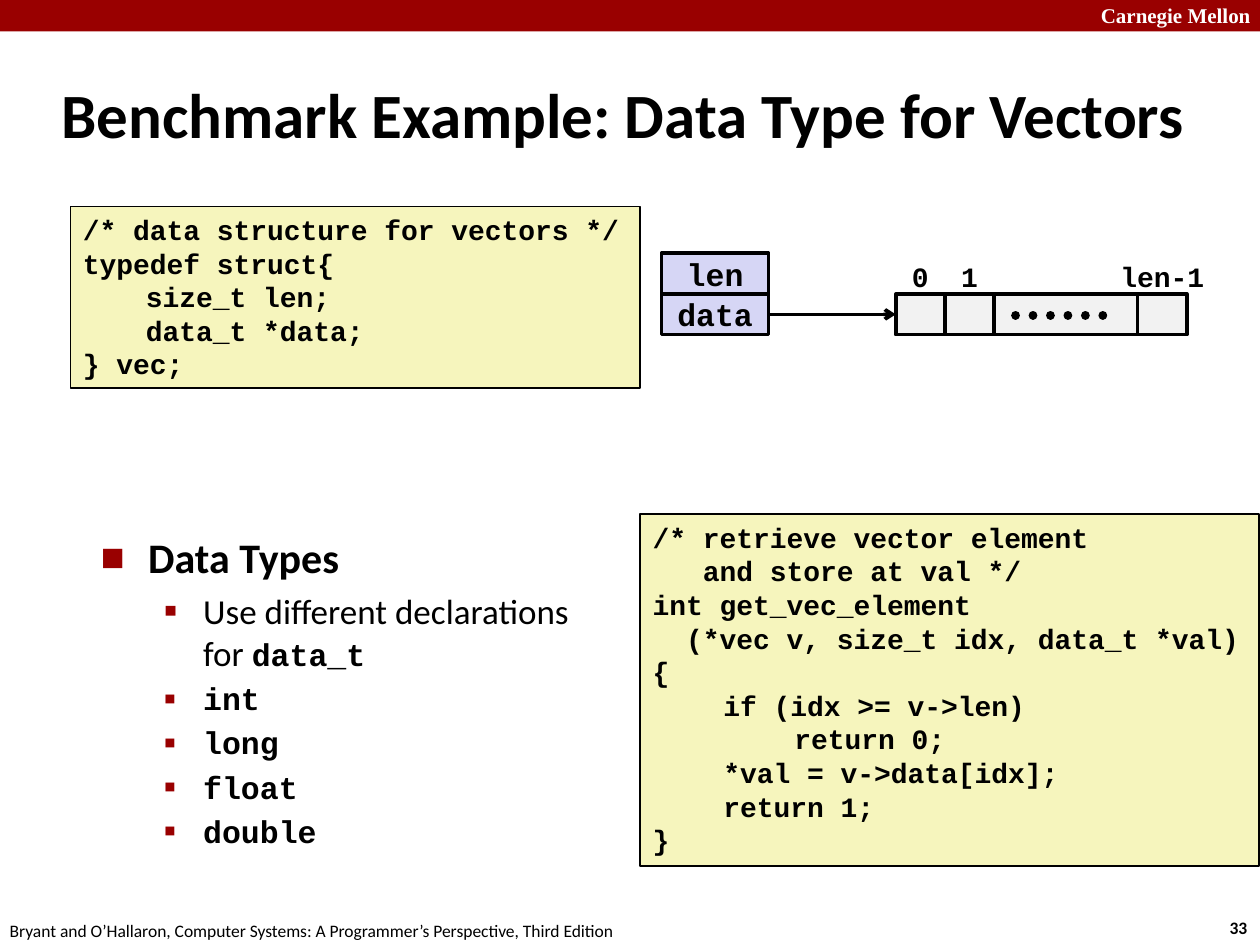
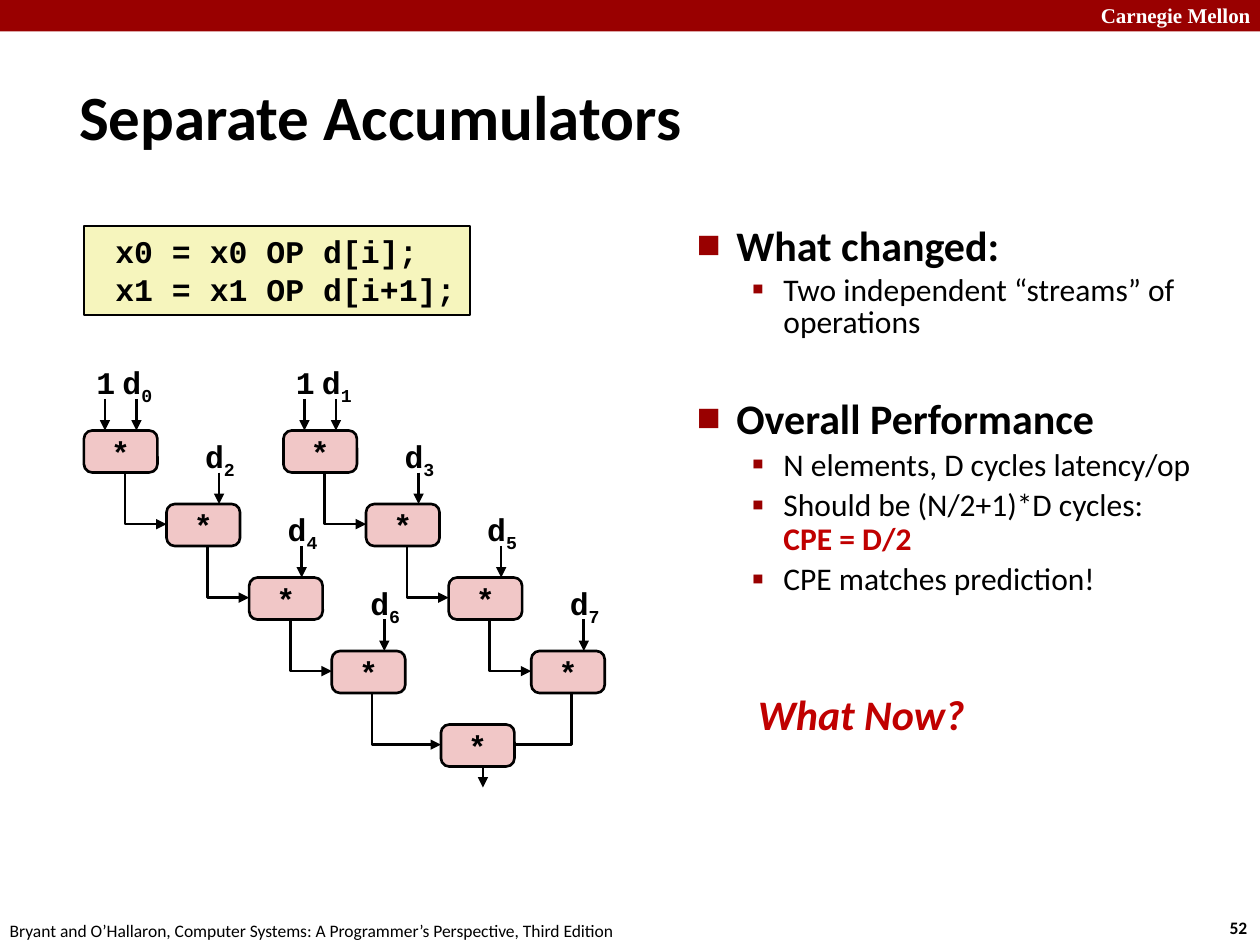
"""Build two lecture slides on vector data types and separate accumulators."""
from copy import deepcopy

from lxml.etree import SubElement
from pptx import Presentation
from pptx.dml.color import RGBColor
from pptx.enum.dml import MSO_LINE
from pptx.enum.shapes import MSO_CONNECTOR, MSO_SHAPE
from pptx.enum.text import MSO_ANCHOR as Anchor, MSO_AUTO_SIZE, PP_ALIGN as Align
from pptx.oxml.ns import qn
from pptx.util import Pt

COLORS = {
    "band": "990000", "ink": "000000", "paper": "FFFFFF", "code": "F6F5BD",
    "field": "D6D6F5", "cell": "F2F2F2", "operator": "F1C7C7", "accent": "C00000",
}
SANS, MONO, SERIF = "Calibri", "Courier New", "Times New Roman"
FOOTER = ("Bryant and O’Hallaron, Computer Systems: "
          "A Programmer’s Perspective, Third Edition")
BULLETS = [("■", "60000"), ("▪", "110000")]

VECTOR_STRUCT = """/* data structure for vectors */
typedef struct{
\tsize_t len;
\tdata_t *data;
} vec;"""
GET_ELEMENT = """/* retrieve vector element
   and store at val */
int get_vec_element
  (*vec v, size_t idx, data_t *val)
{
\tif (idx >= v->len)
\t\treturn 0;
\t*val = v->data[idx];
\treturn 1;
}"""
ACCUMULATE = """ x0 = x0 OP d[i];
 x1 = x1 OP d[i+1];"""


def rgb(name):
    """Return the named colour."""
    return RGBColor.from_string(COLORS[name])


def points(*lengths):
    """Convert numbers to point lengths."""
    return [Pt(length) for length in lengths]


def style(run, size, face=SANS, color="ink", bold=True, italic=False):
    """Format one run."""
    font = run.font
    font.size, font.name, font.bold, font.italic = Pt(size), face, bold, italic
    font.color.rgb = rgb(color)


def write(frame, text, size, align=Align.LEFT, anchor=Anchor.TOP,
          margins=(7.2, 3.6, 7.2, 3.6), **look):
    """Fill a text frame with evenly formatted text."""
    frame.text = text
    frame.word_wrap = True
    frame.auto_size = MSO_AUTO_SIZE.NONE
    frame.vertical_anchor = anchor
    (frame.margin_left, frame.margin_top,
     frame.margin_right, frame.margin_bottom) = points(*margins)
    for paragraph in frame.paragraphs:
        paragraph.alignment = align
        for run in paragraph.runs:
            style(run, size, **look)


def add_text(slide, box, text, size, **look):
    """Add a text box."""
    label = slide.shapes.add_textbox(*points(*box))
    write(label.text_frame, text, size, **look)
    return label


def add_block(slide, box, fill, weight=0, kind=MSO_SHAPE.RECTANGLE):
    """Add a flat filled shape, outlined when it has a weight."""
    block = slide.shapes.add_shape(kind, *points(*box))
    block.shadow.inherit = False
    block.fill.solid()
    block.fill.fore_color.rgb = rgb(fill)
    if weight:
        block.line.color.rgb = rgb("ink")
        block.line.width = Pt(weight)
    else:
        block.line.fill.background()
    return block


def draw_stroke(stroke, weight, head=None):
    """Colour a line and give it an optional arrowhead."""
    stroke.line.color.rgb = rgb("ink")
    stroke.line.width = Pt(weight)
    outline = stroke._element.spPr.find(qn("a:ln"))
    if head:
        SubElement(outline, qn("a:tailEnd"), type=head)
    return outline


def add_line(slide, start, end, weight=1.5, head="triangle"):
    """Add a straight line."""
    line = slide.shapes.add_connector(MSO_CONNECTOR.STRAIGHT, *points(*start, *end))
    draw_stroke(line, weight, head)
    SubElement(line._element.spPr, qn("a:effectLst"))
    return line


def add_elbow(slide, start, end, head="triangle"):
    """Add a path going down and then sideways."""
    builder = slide.shapes.build_freeform(*points(*start))
    corner = (start[0], end[1])
    builder.add_line_segments([points(*corner), points(*end)], close=False)
    elbow = builder.convert_to_shape()
    elbow.shadow.inherit = False
    elbow.fill.background()
    draw_stroke(elbow, 1.5, head)


def add_page(deck, title, title_box, number):
    """Add a slide with its title, top band and footer."""
    slide = deck.slides.add_slide(deck.slide_layouts[1])
    add_block(slide, (0, 0, 720, 18), "band")
    add_text(slide, (622, -2, 103, 22), "Carnegie Mellon", 12, face=SERIF, color="paper")
    add_text(slide, (695.5, 520.5, 27, 19.5), str(number), 10)
    add_text(slide, (-1.5, 522, 366, 19.5), FOOTER, 10, bold=False)
    heading = slide.shapes.title
    heading.left, heading.top, heading.width, heading.height = points(*title_box)
    write(heading.text_frame, title, 36, anchor=Anchor.MIDDLE)
    return slide


def add_code(slide, box, code, size, tab=36):
    """Add a code panel whose tab stops are evenly spaced."""
    panel = add_block(slide, box, "code", 1)
    write(panel.text_frame, code, size, face=MONO, margins=(7.2, 3.6, 0, 3.6))
    for paragraph in panel.text_frame.paragraphs:
        depth = paragraph.text.count("\t")
        if depth:
            stops = SubElement(paragraph._p.get_or_add_pPr(), qn("a:tabLst"))
            for step in range(1, depth + 1):
                SubElement(stops, qn("a:tab"), pos=str(Pt(step * tab)), algn="l")


def add_bullet(paragraph, level, margin, hanging):
    """Give a paragraph its square bullet and hanging indent."""
    mark, percent = BULLETS[level]
    properties = paragraph._p.get_or_add_pPr()
    properties.set("marL", str(Pt(margin)))
    properties.set("indent", str(Pt(-hanging)))
    color = SubElement(properties, qn("a:buClr"))
    SubElement(color, qn("a:srgbClr"), val=COLORS["band"])
    SubElement(properties, qn("a:buSzPct"), val=percent)
    SubElement(properties, qn("a:buFont"), typeface=SANS)
    SubElement(properties, qn("a:buChar"), char=mark)


def fill_list(slide, box, items, indents):
    """Fill the body with (level, spacing, gap, runs) items."""
    body = slide.placeholders[1]
    body.left, body.top, body.width, body.height = points(*box)
    frame = body.text_frame
    frame.word_wrap = True
    frame.auto_size = MSO_AUTO_SIZE.NONE
    for index, (level, spacing, gap, runs) in enumerate(items):
        paragraph = frame.add_paragraph() if index else frame.paragraphs[0]
        paragraph.level = level
        add_bullet(paragraph, level, *indents[level])
        paragraph.line_spacing = spacing
        if gap is not None:
            paragraph.space_before = Pt(gap)
        paragraph.text = runs[0][0]
        for text, _ in runs[1:]:
            paragraph.add_run().text = text
        for run, (_, look) in zip(paragraph.runs, runs):
            style(run, **look)
        for line_break in paragraph._p.findall(qn("a:br")):
            line_break.append(deepcopy(paragraph.runs[0]._r.rPr))


def add_vector(slide, left, top):
    """Draw the vector header pointing to its array of elements."""
    height, field_width, cell_width = 23.3, 61.2, 28.1
    row = top + height
    for order, field in enumerate(("len", "data")):
        box = (left, top + order * height, field_width, height)
        header = add_block(slide, box, "field", 2)
        write(header.text_frame, field, 18, face=MONO, align=Align.CENTER,
              anchor=Anchor.MIDDLE, margins=(0, 0, 0, 0))
    x = left + 133.9
    middle = row + height / 2
    add_line(slide, (left + field_width, middle), (x, middle), 2, "arrow")
    for index, width in (("0", cell_width), ("1", cell_width),
                         ("", 82), ("len-1", cell_width)):
        add_block(slide, (x, row, width, height), "cell", 2)
        if index:
            add_text(slide, (x + width / 2 - 32, top, 64, 26.6), index, 16,
                     face=MONO, align=Align.CENTER)
        else:
            dots = add_line(slide, (x + 12.2, middle + 0.5),
                            (x + 69.8, middle + 0.5), 5, None)
            dots.line.dash_style = MSO_LINE.ROUND_DOT
            dots._element.spPr.find(qn("a:ln")).set("cap", "rnd")
        x += width


def add_operator(slide, x, y):
    """Add a rounded multiplication node."""
    node = add_block(slide, (x, y, 42, 24), "operator", 1.5, MSO_SHAPE.ROUNDED_RECTANGLE)
    node.adjustments[0] = 0.196
    write(node.text_frame, "*", 18, face=MONO, align=Align.CENTER,
          anchor=Anchor.MIDDLE, margins=(0, 0, 0, 0))


def add_operand(slide, x, y, name, subscript=""):
    """Add a labelled arrow that ends at the given point."""
    add_line(slide, (x, y - 18), (x, y))
    label = add_text(slide, (x - 14, y - 42, 29, 29), name, 18, face=MONO,
                     align=Align.CENTER, margins=(0, 3.6, 0, 3.6))
    if subscript:
        lowered = label.text_frame.paragraphs[0].add_run()
        lowered.text = subscript
        style(lowered, 18, MONO)
        lowered.font._element.set("baseline", "-25000")


def add_streams(slide, left, top):
    """Draw two chains of multiplications that join in a final node."""
    step_x, step_y, stream_gap, length = 47.2, 42, 114, 4
    join_x, join_y = left + 204, top + length * step_y
    for stream in range(2):
        for step in range(length):
            x = left + stream * stream_gap + step * step_x
            y = top + step * step_y
            add_operator(slide, x, y)
            add_operand(slide, x + 30, y, "d", str(2 * step + stream))
            if step == 0:
                add_operand(slide, x + 12, y, "1")
            if step < length - 1:
                add_elbow(slide, (x + 23.5, y + 24), (x + step_x, y + step_y + 11.5))
            elif stream == 0:
                add_elbow(slide, (x + 23, y + 24), (join_x, join_y + 11.5))
            else:
                add_elbow(slide, (x + 23, y + 24), (join_x + 42, join_y + 11.5), None)
    add_operator(slide, join_x, join_y)
    add_line(slide, (join_x + 24, join_y + 24), (join_x + 24, join_y + 36))


def build_vector_slide(deck):
    """Build the slide on the vector data type."""
    slide = add_page(deck, "Benchmark Example: Data Type for Vectors",
                     (28, 34.5, 680, 60), 33)
    add_code(slide, (40.3, 118, 325.4, 103.7), VECTOR_STRUCT, 16)
    add_code(slide, (365.8, 293.8, 353.5, 200.9), GET_ELEMENT, 16, tab=40.5)
    add_vector(slide, 378, 144.7)
    keyword = {"size": 18, "face": MONO}
    items = [(0, 1.0, 0, [("Data Types", {"size": 24})]),
             (1, 1.0, None, [("Use different declarations for ",
                              {"size": 20, "bold": False}), ("data_t", keyword)])]
    items += [(1, 1.0, None, [(name, keyword)])
              for name in ("int", "long", "float", "double")]
    fill_list(slide, (50.4, 300.2, 304.6, 175), items, [(27, 27), (58.5, 22.5)])


def build_accumulator_slide(deck):
    """Build the slide on separate accumulators."""
    slide = add_page(deck, "Separate Accumulators", (38, 36, 598, 60), 52)
    add_code(slide, (48, 129.3, 220.5, 50.7), ACCUMULATE, 18)
    add_streams(slide, 48, 246)
    head, plain = {"size": 24}, {"size": 18, "bold": False}
    items = [
        (0, 0.85, 0, [("What changed:", head)]),
        (1, 0.85, None, [("Two independent “streams” of operations", plain)]),
        (0, 0.85, 34, [("Overall Performance", head)]),
        (1, 0.9, None, [("N elements, D cycles latency/op", plain)]),
        (1, 0.9, None, [("Should be (N/2+1)*D cycles:\v", plain),
                        ("CPE = D/2", {"size": 18, "color": "accent"})]),
        (1, 0.9, None, [("CPE matches prediction!", plain)]),
    ]
    fill_list(slide, (391, 126, 311, 246), items, [(22.5, 22.5), (49.5, 18)])
    add_text(slide, (426, 390, 144, 36), "What Now?", 24, color="accent", italic=True)


def main():
    """Build and save the deck."""
    deck = Presentation()
    deck.slide_width, deck.slide_height = Pt(720), Pt(540)
    build_vector_slide(deck)
    build_accumulator_slide(deck)
    deck.save("out.pptx")


if __name__ == "__main__":
    main()
